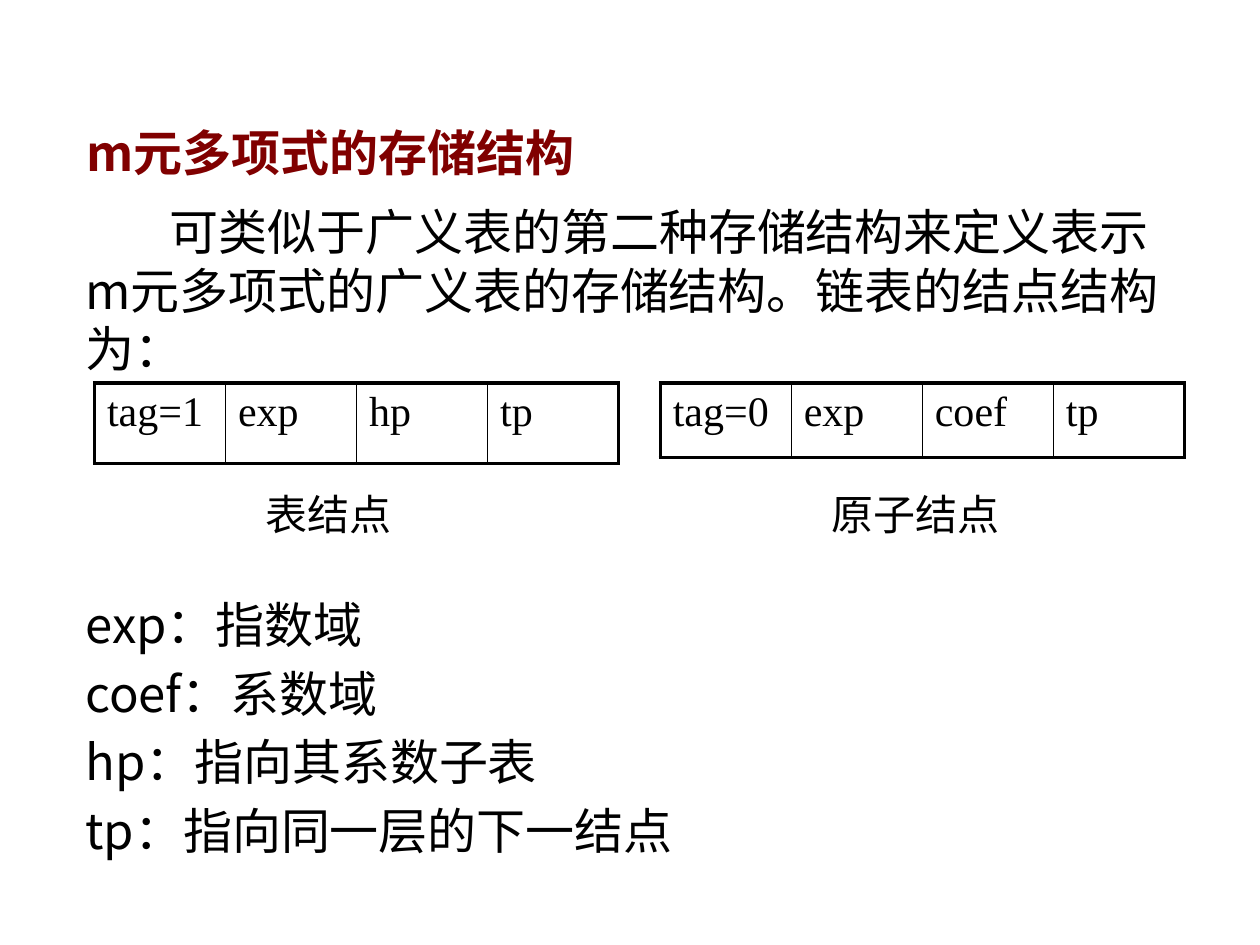
"""Build a slide on the storage structure of polynomials in m variables."""
from lxml import etree
from pptx import Presentation
from pptx.dml.color import RGBColor
from pptx.enum.text import MSO_ANCHOR
from pptx.oxml.ns import qn
from pptx.util import Inches, Pt

TOP = MSO_ANCHOR.TOP
COLORS = {"ink": "000000", "heading": "800000"}
SANS, SERIF = "Noto Sans CJK SC", "Times New Roman"
COLUMN, TABLE_TOP, LABEL_TOP = 1.04, 3.04, 3.83


def style(paragraph, size, name, color="ink", bold=False):
    font = paragraph.font
    font.size, font.name, font.bold = Pt(size), name, bold
    font.color.rgb = RGBColor.from_string(COLORS[color])
    properties = paragraph._p.pPr.find(qn("a:defRPr"))
    etree.SubElement(properties, qn("a:ea")).set("typeface", SANS)


def add_text(box, lines, size, name, color="ink", bold=False, gap=0, indent=0):
    shape = slide.shapes.add_textbox(*map(Inches, box))
    frame = shape.text_frame
    frame.word_wrap = True
    frame.text = "\n".join(lines)
    for index, paragraph in enumerate(frame.paragraphs):
        properties = paragraph._p.get_or_add_pPr()
        properties.set("indent", str(Inches(indent)))
        paragraph.line_spacing = Pt(size * 1.2)
        if index:
            paragraph.space_before = Pt(gap)
        style(paragraph, size, name, color, bold)


presentation = Presentation()
presentation.slide_width, presentation.slide_height = Inches(10), Inches(7.5)
slide = presentation.slides.add_slide(presentation.slide_layouts[6])

add_text((0.59, 0.92, 4.79, 0.57), ["m元多项式的存储结构"], 28, SANS, "heading", True)
add_text(
    (0.58, 1.55, 8.91, 1.5),
    ["可类似于广义表的第二种存储结构来定义表示m元多项式的广义表的存储结构。链表的结点结构为："],
    28, SANS, indent=0.67,
)
definitions = ["exp：指数域", "coef：系数域", "hp：指向其系数子表", "tp：指向同一层的下一结点"]
add_text((0.58, 4.67, 8.91, 2.3), definitions, 28, SANS, gap=5.6)

nodes = [
    (0.75, 0.64, ["tag=1", "exp", "hp", "tp"], "表结点", 2.01, 1.42),
    (5.24, 0.59, ["tag=0", "exp", "coef", "tp"], "原子结点", 6.5, 1.73),
]
for left, height, fields, label, label_left, label_width in nodes:
    frame = slide.shapes.add_table(
        1, len(fields), Inches(left), Inches(TABLE_TOP),
        Inches(COLUMN * len(fields)), Inches(height),
    )
    table = frame.table
    table.first_row = table.horz_banding = False
    for column, field in enumerate(fields):
        cell = table.cell(0, column)
        cell.text = field
        cell.vertical_anchor = TOP
        style(cell.text_frame.paragraphs[0], 24, SERIF)
        outer = {"lnL": column == 0, "lnR": column == len(fields) - 1, "lnT": True, "lnB": True}
        for side, is_outer in outer.items():
            line = etree.SubElement(cell._tc.get_or_add_tcPr(), qn(f"a:{side}"))
            line.set("w", str(Pt(2.25 if is_outer else 1)))
            fill = etree.SubElement(line, qn("a:solidFill"))
            etree.SubElement(fill, qn("a:srgbClr")).set("val", COLORS["ink"])
        cell.fill.background()
    add_text((label_left, LABEL_TOP, label_width, 0.5), [label], 24, SERIF)

presentation.save("out.pptx")
